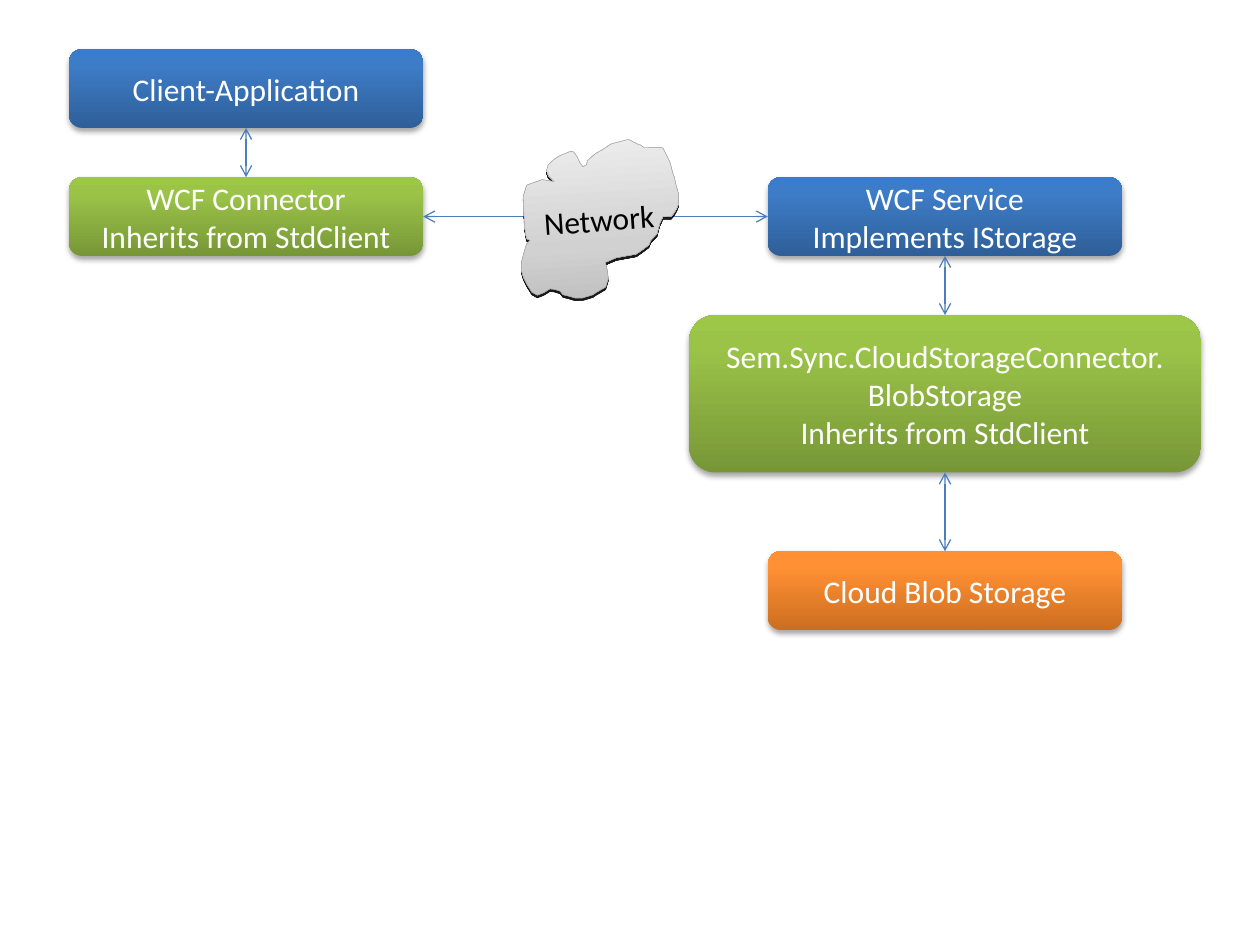
from lxml.etree import SubElement as Sub
from pptx import Presentation
from pptx.dml.color import RGBColor as RGB
from pptx.enum.shapes import MSO_CONNECTOR as Link, MSO_SHAPE as Kind
from pptx.enum.text import MSO_ANCHOR as Anchor, PP_ALIGN as Align
from pptx.oxml.ns import qn
from pptx.util import Inches, Pt

CELL = 0.3125
WHITE = RGB(0xFF, 0xFF, 0xFF)
BLACK = RGB(0x00, 0x00, 0x00)
EDGE = RGB(0x4B, 0x7E, 0xBC)
RIM = RGB(0x9A, 0x9A, 0x9A)
GREEN = [(0, RGB(0x77, 0x97, 0x37)), (80, RGB(0x9B, 0xC3, 0x48)), (100, RGB(0x9D, 0xC7, 0x46))]
BLUE = [(0, RGB(0x2F, 0x5F, 0x99)), (80, RGB(0x3D, 0x7C, 0xC7)), (100, RGB(0x3A, 0x7C, 0xCB))]
ORANGE = [(0, RGB(0xCC, 0x6E, 0x20)), (80, RGB(0xFF, 0x90, 0x34)), (100, RGB(0xFF, 0x91, 0x36))]
GRAY = [(0, RGB(0xBD, 0xBD, 0xBD)), (35, RGB(0xD1, 0xD1, 0xD1)), (100, RGB(0xEE, 0xEE, 0xEE))]

CLOUD = [
    (-49, -33), (-62, -36), (-79, -34), (-81, -30), (-83, -26), (-82, -4),
    (-80, 5), (-76, 7), (-80, 9), (-83, 15), (-86, 22), (-86, 28), (-84, 33),
    (-80, 39), (-75, 45), (-69, 48), (-62, 47), (-55, 45), (-50, 46),
    (-44, 48), (-41, 51), (-34, 53), (-28, 55), (-20, 56), (-8, 55), (-5, 54),
    (6, 51), (9, 45), (8, 39), (6, 33), (18, 31), (40, 31), (46, 29),
    (54, 26), (56, 23), (63, 19), (66, 12), (70, 7), (79, 8), (82, 6),
    (85, 3), (87, 0), (87, -8), (84, -16), (83, -20), (81, -24), (79, -30),
    (77, -34), (73, -40), (71, -43), (68, -44), (50, -46), (47, -48),
    (44, -49), (33, -54), (14, -53), (5, -50), (-3, -48), (-12, -44),
    (-13, -41), (-17, -40), (-20, -43), (-24, -49), (-27, -52), (-30, -53),
    (-43, -51), (-49, -49), (-55, -46), (-57, -42), (-55, -38),
]


class Sketch:
    def __init__(self, slide, font="Calibri", size=18):
        self.slide, self.font, self.size = slide, font, size

    def grid(self, *cells):
        return [Inches(c * CELL) for c in cells]

    def shade(self, shape, stops):
        shape.fill.gradient()
        shape.fill.gradient_angle = 90
        bag = shape._element.spPr.find(".//" + qn("a:gsLst"))
        for old in list(bag):
            bag.remove(old)
        for pos, tone in stops:
            stop = Sub(bag, qn("a:gs"), pos=str(pos * 1000))
            Sub(stop, qn("a:srgbClr"), val=str(tone))

    def shadow(self, shape, blur, dist, alpha):
        shape.shadow.inherit = False
        bag = shape._element.spPr.find(qn("a:effectLst"))
        cast = Sub(bag, qn("a:outerShdw"), blurRad=str(Pt(blur)),
                   dist=str(Pt(dist)), dir="5400000", rotWithShape="0")
        tone = Sub(cast, qn("a:srgbClr"), val=str(BLACK))
        Sub(tone, qn("a:alpha"), val=str(alpha * 1000))

    def label(self, shape, text, tone):
        frame = shape.text_frame
        frame.text = text
        frame.vertical_anchor = Anchor.MIDDLE
        for par in frame.paragraphs:
            par.alignment = Align.CENTER
            for run in par.runs:
                run.font.name = self.font
                run.font.size = Pt(self.size)
                run.font.color.rgb = tone

    def box(self, text, stops, col, row, wide=9, high=2):
        shape = self.slide.shapes.add_shape(
            Kind.ROUNDED_RECTANGLE, *self.grid(col, row, wide, high))
        self.shade(shape, stops)
        shape.line.fill.background()
        self.shadow(shape, 3.1, 1.8, 35)
        self.label(shape, text, WHITE)

    def arrow(self, *ends):
        link = self.slide.shapes.add_connector(Link.STRAIGHT, *self.grid(*ends))
        link.line.color.rgb = EDGE
        link.line.width = Pt(0.75)
        props = link._element.spPr
        for end in ("a:headEnd", "a:tailEnd"):
            Sub(props.find(qn("a:ln")), qn(end), type="arrow")
        Sub(props, qn("a:effectLst"))

    def cloud(self, text, col, row, turn=-4):
        mid, base = self.grid(col, row)
        dots = [(mid + Inches(0.0073 * x - 0.0006 * y),
                 base + Inches(0.0108 * y - 0.0008 * x)) for x, y in CLOUD]
        pen = self.slide.shapes.build_freeform(*dots[0])
        pen.add_line_segments(dots[1:], close=True)
        shape = pen.convert_to_shape()
        shape.rotation = turn
        self.shade(shape, GRAY)
        shape.line.color.rgb = RIM
        shape.line.width = Pt(0.25)
        self.shadow(shape, 0, 1.5, 90)
        self.label(shape, text, BLACK)
        shape.text_frame.word_wrap = False


def main():
    deck = Presentation()
    deck.slide_width, deck.slide_height = Inches(10), Inches(7.5)
    art = Sketch(deck.slides.add_slide(deck.slide_layouts[6]))
    art.box("WCF Connector\nInherits from StdClient", GREEN, 1.75, 4.5)
    art.box("Client-Application", BLUE, 1.75, 1.25)
    art.box("WCF Service\nImplements IStorage", BLUE, 19.5, 4.5)
    art.box("Sem.Sync.CloudStorageConnector. BlobStorage\nInherits from StdClient",
            GREEN, 17.5, 8, 13, 4)
    art.arrow(6.25, 3.25, 6.25, 4.5)
    art.arrow(10.75, 5.5, 19.5, 5.5)
    art.arrow(24, 6.5, 24, 8)
    art.cloud("Network", 15.22, 5.55)
    art.arrow(24, 12, 24, 14)
    art.box("Cloud Blob Storage", ORANGE, 19.5, 14)
    deck.save("out.pptx")


if __name__ == "__main__":
    main()
